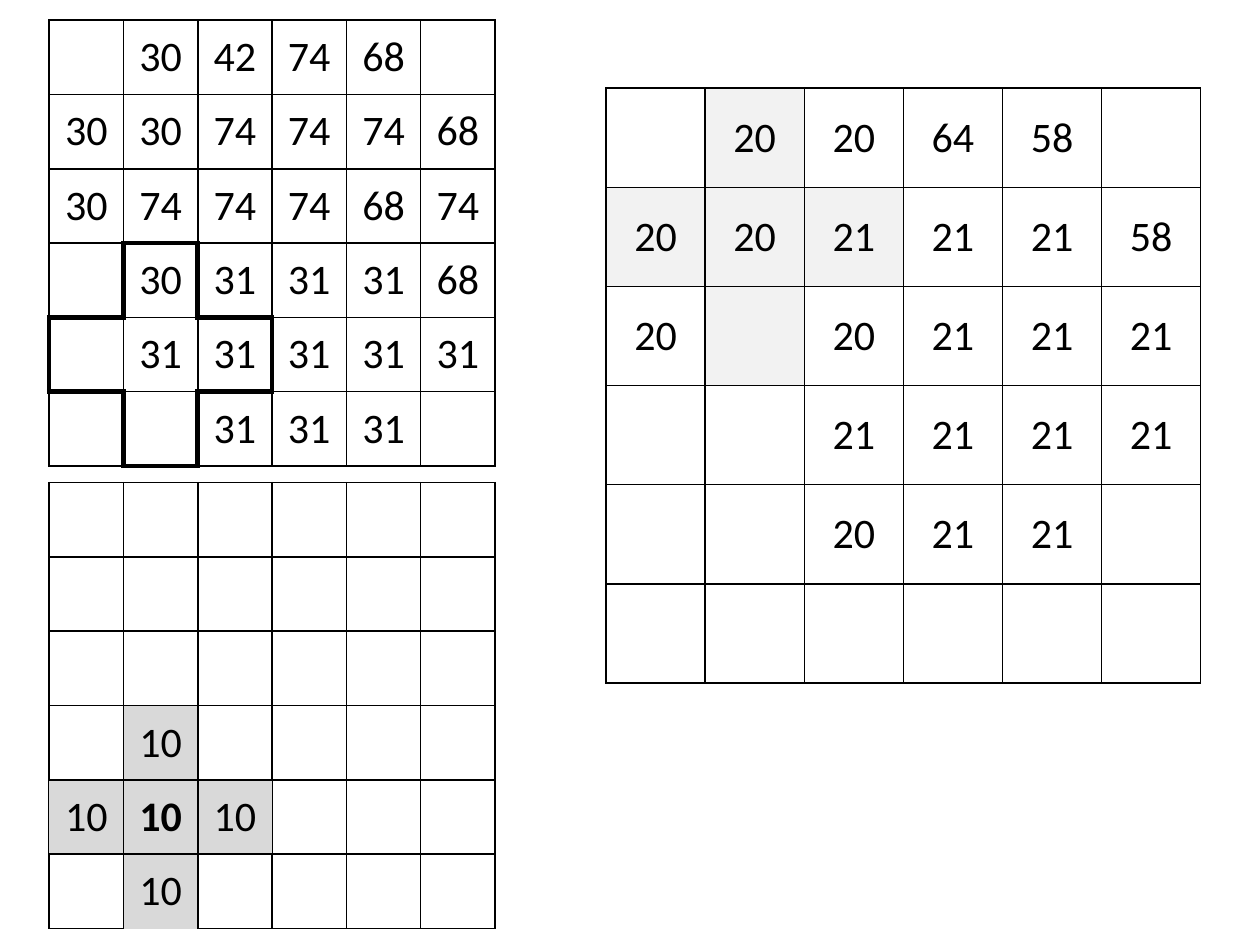
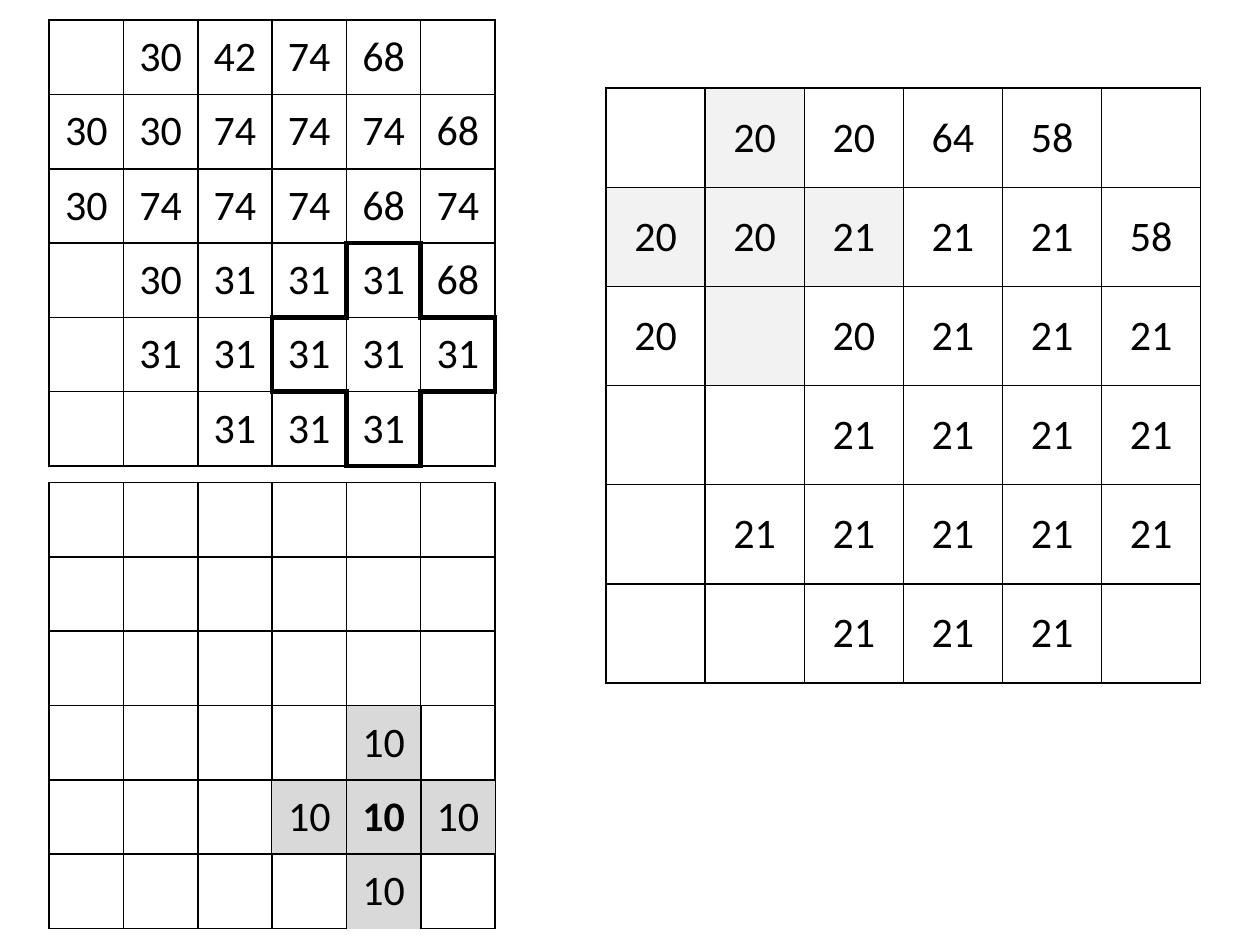
from dataclasses import dataclass

from lxml import etree
from pptx import Presentation
from pptx.dml.color import RGBColor
from pptx.enum.text import MSO_ANCHOR, PP_ALIGN
from pptx.oxml.ns import qn
from pptx.util import Inches, Pt

CENTER = PP_ALIGN.CENTER
MIDDLE = MSO_ANCHOR.MIDDLE
NO_STYLE = "{2D5ABB26-0587-4C30-8999-92F81FD0307C}"
SIDES = {"L": (0, -1), "R": (0, 1), "T": (-1, 0), "B": (1, 0)}


@dataclass(frozen=True)
class Theme:
    font: str = "Calibri"
    size: int = 24
    ink: str = "000000"
    pale: str = "F2F2F2"
    grey: str = "D9D9D9"
    thin: float = 1
    thick: float = 3


THEME = Theme()


def set_border(cell, side, width):
    ln = etree.SubElement(cell._tc.get_or_add_tcPr(), qn(f"a:ln{side}"))
    if not width:
        etree.SubElement(ln, qn("a:noFill"))
        return
    ln.set("w", str(Pt(width)))
    fill = etree.SubElement(ln, qn("a:solidFill"))
    etree.SubElement(fill, qn("a:srgbClr"), val=THEME.ink)


def add_grid(slide, left, top, size, rows, has_line, width=THEME.thin,
             shaded=(), shade=None, bold=None):
    n = len(rows)
    table = slide.shapes.add_table(n, n, Inches(left), Inches(top),
                                   Inches(size), Inches(size)).table
    table.first_row = table.horz_banding = False
    table._tbl.tblPr.find(qn("a:tableStyleId")).text = NO_STYLE
    for i, row in enumerate(rows):
        table.columns[i].width = table.rows[i].height = Inches(size / n)
        for j, value in enumerate(row.split()):
            cell = table.cell(i, j)
            for side, (di, dj) in SIDES.items():
                drawn = has_line((i, j), (i + di, j + dj))
                set_border(cell, side, width if drawn else 0)
            if (i, j) in shaded:
                cell.fill.solid()
                cell.fill.fore_color.rgb = RGBColor.from_string(shade)
            else:
                cell.fill.background()
            if value == "-":
                continue
            cell.text = value
            cell.vertical_anchor = MIDDLE
            p = cell.text_frame.paragraphs[0]
            p.alignment = CENTER
            p.font.name = THEME.font
            p.font.size = Pt(THEME.size)
            p.font.bold = (i, j) == bold
            p.font.color.rgb = RGBColor.from_string(THEME.ink)


GRID_LEFT, INPUT_TOP, MASK_TOP = 0.39, 0.16, 3.83
GRID_SIZE = 3.54
CELL = GRID_SIZE / 6
RESULT_LEFT, RESULT_TOP, RESULT_SIZE = 4.81, 0.7, 4.72

CROSS = {(0, 1), (1, 0), (1, 1), (1, 2), (2, 1)}
RESULT_SHADED = CROSS
EMPTY_ROW = "- - - - - -"
INPUT_ROWS = [
    "- 30 42 74 68 -",
    "30 30 74 74 74 68",
    "30 74 74 74 68 74",
    "- 30 31 31 31 68",
    "- 31 31 31 31 31",
    "- - 31 31 31 -",
]
KERNEL_ROWS = ["- 10 -", "10 10 10", "- 10 -"]
RESULT_ROWS = [
    "- 20 20 64 58 -",
    "20 20 21 21 21 58",
    "20 - 20 21 21 21",
    "- - 21 21 21 21",
]
STEPS = [
    (0, ["- - 20 21 21 -", EMPTY_ROW]),
    (3, ["- 21 21 21 21 21", "- - 21 21 21 -"]),
]

full_grid = lambda here, there: True
inner_grid = lambda here, there: all(0 <= k < 3 for k in there)
cross_outline = lambda here, there: (here in CROSS) != (there in CROSS)

prs = Presentation()
prs.slide_width = Inches(10)
prs.slide_height = Inches(7.5)

for kernel_column, last_rows in STEPS:
    slide = prs.slides.add_slide(prs.slide_layouts[6])
    kernel_left = GRID_LEFT + kernel_column * CELL
    add_grid(slide, RESULT_LEFT, RESULT_TOP, RESULT_SIZE,
             RESULT_ROWS + last_rows, full_grid,
             shaded=RESULT_SHADED, shade=THEME.pale)
    add_grid(slide, GRID_LEFT, MASK_TOP, GRID_SIZE, [EMPTY_ROW] * 6, full_grid)
    add_grid(slide, kernel_left, MASK_TOP + 3 * CELL, 3 * CELL,
             KERNEL_ROWS, inner_grid,
             shaded=CROSS, shade=THEME.grey, bold=(1, 1))
    add_grid(slide, GRID_LEFT, INPUT_TOP, GRID_SIZE, INPUT_ROWS, full_grid)
    add_grid(slide, kernel_left, INPUT_TOP + 3 * CELL, 3 * CELL,
             ["- - -"] * 3, cross_outline, width=THEME.thick)

prs.save("out.pptx")
